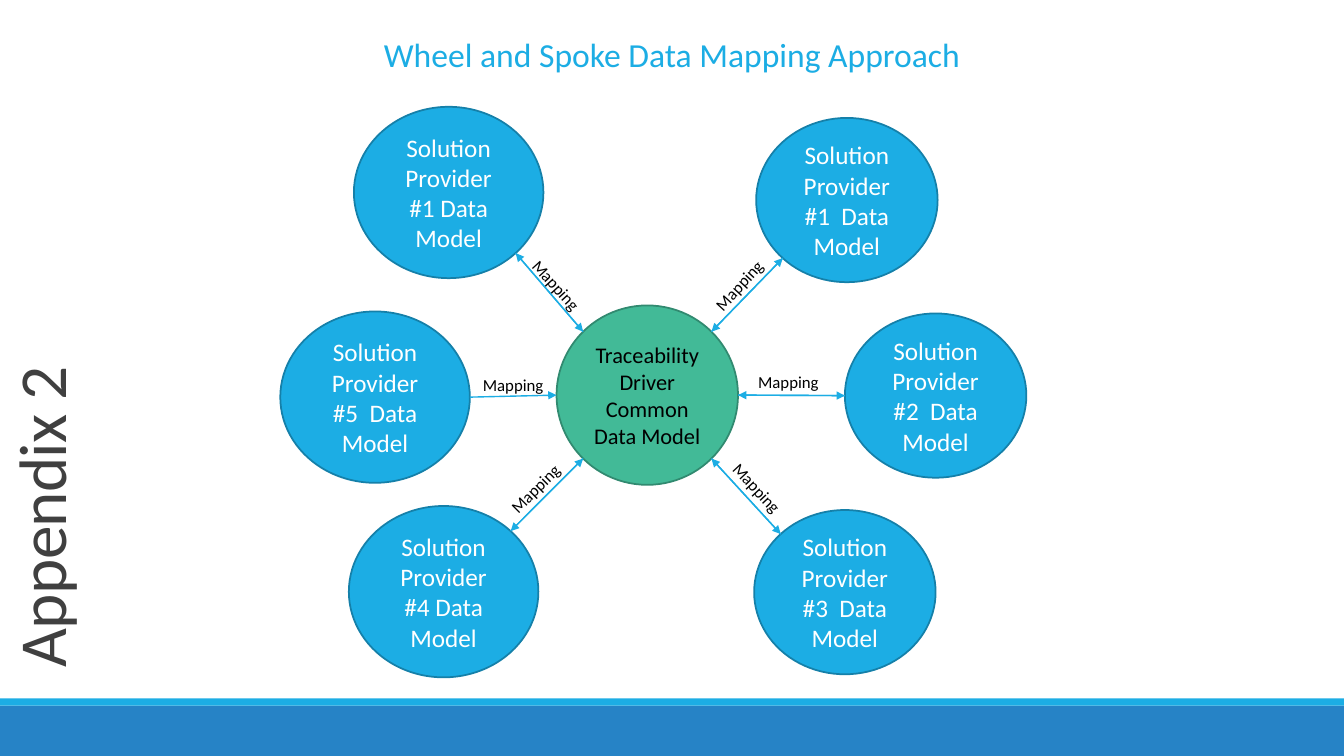
from lxml import etree
from pptx import Presentation
from pptx import util as u
from pptx.dml import color
from pptx.enum import shapes, text
from pptx.oxml import ns

BLUE, DARK_BLUE, BAND_BLUE = "1CADE4", "1580A9", "2683C6"
GREEN, DARK_GREEN = "42BA97", "318A70"
WHITE, BLACK, GREY = "FFFFFF", "000000", "404040"
DIAGONAL = 0.5 ** 0.5


def rgb(value):
    return color.RGBColor.from_string(value)


def rim_point(at, dx, dy):
    """Point on an oval's rim in the direction (dx, dy)."""
    left, top, width, height = at
    reach = DIAGONAL if dx and dy else 1
    return (left + width / 2 * (1 + dx * reach),
            top + height / 2 * (1 + dy * reach))


class SlideBuilder:
    font = "Calibri"

    def __init__(self, page):
        self.page = page

    def set_text(self, box, wording, size, ink, align):
        box.text_frame.text = wording
        para = box.text_frame.paragraphs[0]
        para.alignment = align
        span = para.runs[0]
        span.font.name = self.font
        span.font.size = u.Pt(size)
        span.font.color.rgb = rgb(ink)
        return para

    def title(self, wording, at, rotation):
        box = self.page.shapes.title
        box.left, box.top, box.width, box.height = map(u.Inches, at)
        box.rotation = rotation
        para = self.set_text(box, wording, 48, GREY, text.PP_ALIGN.LEFT)
        para.line_spacing = 0.85
        para.runs[0]._r.get_or_add_rPr().set("spc", "-50")
        box.text_frame.word_wrap = True
        box.text_frame.auto_size = text.MSO_AUTO_SIZE.NONE
        box.text_frame.vertical_anchor = text.MSO_ANCHOR.BOTTOM

    def shape(self, kind, at, fill, outline=None):
        box = self.page.shapes.add_shape(kind, *map(u.Inches, at))
        box.shadow.inherit = False
        box.fill.solid()
        box.fill.fore_color.rgb = rgb(fill)
        if outline:
            box.line.color.rgb = rgb(outline)
            box.line.width = u.Pt(1.25)
        else:
            box.line.fill.background()
        return box

    def model(self, kind, at, wording, size, ink, fill, outline):
        box = self.shape(kind, at, fill, outline)
        self.set_text(box, wording, size, ink, text.PP_ALIGN.CENTER)
        box.text_frame.word_wrap = True
        box.text_frame.vertical_anchor = text.MSO_ANCHOR.MIDDLE

    def label(self, wording, at, size, ink, align=text.PP_ALIGN.LEFT, rotation=0):
        box = self.page.shapes.add_textbox(*map(u.Inches, at))
        box.rotation = rotation
        self.set_text(box, wording, size, ink, align)
        box.text_frame.word_wrap = False
        box.text_frame.auto_size = text.MSO_AUTO_SIZE.SHAPE_TO_FIT_TEXT

    def arrow(self, start, end):
        arrow = self.page.shapes.add_connector(
            shapes.MSO_CONNECTOR.STRAIGHT, *map(u.Inches, start + end))
        arrow.line.color.rgb = rgb(BLUE)
        arrow.line.width = u.Pt(1)
        properties = arrow._element.spPr
        outline = properties.find(ns.qn("a:ln"))
        etree.SubElement(outline, ns.qn("a:tailEnd"), type="triangle")
        etree.SubElement(properties, ns.qn("a:effectLst"))


# Providers: name, oval, direction from the hub, two-way, label place, label angle
LARGE, SMALL = (1.88, 1.7), (1.8, 1.63)
PROVIDERS = [
    ("#5  Data", (2.78, 3.09) + LARGE, (-1, 0), False, (4.69, 3.67), 0),
    ("#1 Data", (3.51, 1.06) + LARGE, (-1, -1), True, (5.11, 2.7), 47.7),
    ("#4 Data", (3.46, 5.02) + LARGE, (-1, 1), True, (4.9, 4.68), 315.1),
    ("#3  Data", (7.48, 5.06) + SMALL, (1, 1), True, (7.1, 4.71), 47.1),
    ("#2  Data", (8.38, 3.11) + SMALL, (1, 0), True, (7.42, 3.64), 0),
    ("#1  Data", (7.5, 1.17) + SMALL, (1, -1), True, (6.92, 2.66), 312.4),
]
HUB = (5.52, 3.03, 1.8, 1.78)


def main():
    deck = Presentation()
    deck.slide_width, deck.slide_height = u.Inches(13.33), u.Inches(7.5)
    slide = SlideBuilder(deck.slides.add_slide(deck.slide_layouts[5]))
    kinds = shapes.MSO_SHAPE

    # Footer bands
    slide.shape(kinds.RECTANGLE, (0, 7, 13.33, 0.5), BAND_BLUE)
    slide.shape(kinds.RECTANGLE, (0, 6.93, 13.33, 0.07), BLUE)

    # Headings
    slide.title("Appendix 2", (-5.08, 0.79, 11, 0.86), 270)
    slide.label("Wheel and Spoke Data Mapping Approach", (3.68, 0.29, 5.97, 0.5),
                24, BLUE, text.PP_ALIGN.CENTER)

    # Provider ovals around the hub
    for name, oval, *_ in PROVIDERS:
        slide.model(kinds.FLOWCHART_CONNECTOR, oval, f"Solution Provider {name} Model",
                    18, WHITE, BLUE, DARK_BLUE)
    slide.model(kinds.OVAL, HUB, "Traceability Driver Common Data Model",
                16, BLACK, GREEN, DARK_GREEN)

    # Spokes, one arrow for each mapping direction
    for _, oval, (dx, dy), two_way, place, angle in PROVIDERS:
        outer, inner = rim_point(oval, -dx, -dy), rim_point(HUB, dx, dy)
        slide.arrow(outer, inner)
        if two_way:
            slide.arrow(inner, outer)
        slide.label("Mapping", place + (0.85, 0.3), 12, BLACK, rotation=angle)

    deck.save("out.pptx")


if __name__ == "__main__":
    main()
